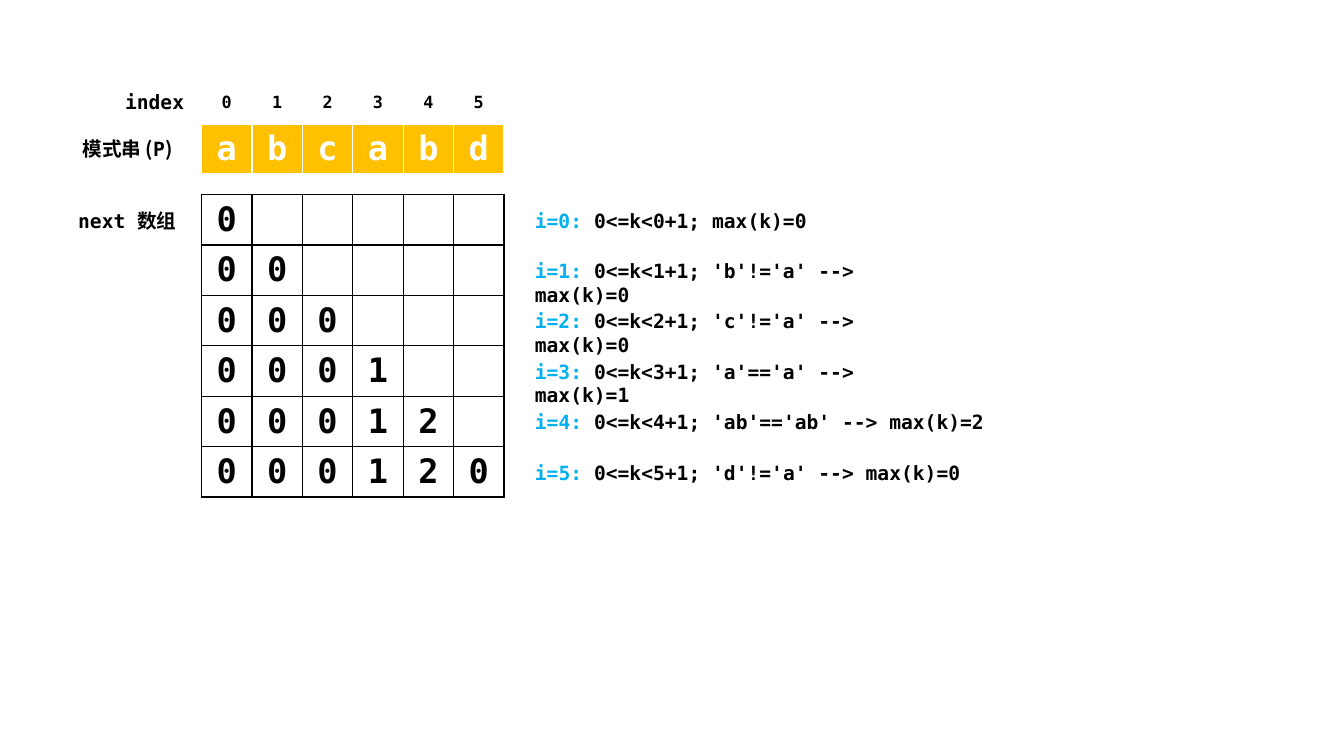
from lxml.etree import SubElement
from pptx import Presentation
from pptx.dml.color import RGBColor
from pptx.enum.text import MSO_ANCHOR, MSO_AUTO_SIZE, PP_ALIGN
from pptx.oxml.ns import qn
from pptx.util import Pt

BLACK = RGBColor(0x00, 0x00, 0x00)
WHITE = RGBColor(0xFF, 0xFF, 0xFF)
GOLD = RGBColor(0xFF, 0xC0, 0x00)
BLUE = RGBColor(0x00, 0xB0, 0xF0)
MONO = "DejaVu Sans Mono"
CHINESE = "Noto Sans CJK SC"

CELL = 36
GRID_LEFT = 144
INDEX_LABEL_WIDTH = 67
INDEX_TOP, INDEX_HEIGHT = 59, 28.8
PATTERN_TOP = 88.6
NEXT_TOP = 139
TEXT_OFFSET = 6.4
LABEL_LEFT, LABEL_WIDTH = 47.5, 87
STEP_LEFT = 375

PATTERN = "abcabd"
NEXT_VALUES = "000120"
STEPS = [  # comparison made in each step, width of its text box
    ("", 244),
    (" 'b'!='a' -->", 299),
    (" 'c'!='a' -->", 299),
    (" 'a'=='a' -->", 299),
    (" 'ab'=='ab' -->", 434),
    (" 'd'!='a' -->", 434),
]


def add_run(paragraph, text, size=14, color=BLACK, font=MONO):
    run = paragraph.add_run()
    run.text = text
    run.font.color.rgb = color
    for name, value in {"size": Pt(size), "bold": True, "name": font}.items():
        setattr(run.font, name, value)
    SubElement(run.font._element, qn("a:ea"), typeface=CHINESE)


def add_text(slide, left, top, width, runs, alignment=PP_ALIGN.LEFT):
    """Add a one-paragraph text box; runs holds (text, format) pairs."""
    box = slide.shapes.add_textbox(Pt(left), Pt(top), Pt(width), Pt(24.2))
    frame = box.text_frame
    frame.word_wrap = True
    frame.auto_size = MSO_AUTO_SIZE.SHAPE_TO_FIT_TEXT
    paragraph = frame.paragraphs[0]
    paragraph.alignment = alignment
    for text, run_format in runs:
        add_run(paragraph, text, **run_format)


def set_borders(cell, color, bottom_width):
    properties = cell._tc.get_or_add_tcPr()
    widths = {"a:lnL": 1, "a:lnR": 1, "a:lnT": 1, "a:lnB": bottom_width}
    for tag, width in widths.items():
        line = SubElement(properties, qn(tag), w=str(Pt(width)))
        fill = SubElement(line, qn("a:solidFill"))
        SubElement(fill, qn("a:srgbClr"), val=str(color))


def add_row(slide, left, top, height, widths, texts, sizes,
            color=BLACK, fill=None, border=BLACK, bottom_width=1):
    """Add a one-row table; cells past the end of texts stay empty."""
    table = slide.shapes.add_table(1, len(widths), Pt(left), Pt(top),
                                   Pt(sum(widths)), Pt(height)).table
    for name in ("first_row", "horz_banding"):
        setattr(table, name, False)
    for column, width in zip(table.columns, widths):
        column.width = Pt(width)
    for cell in table.iter_cells():
        cell.vertical_anchor = MSO_ANCHOR.MIDDLE
        set_borders(cell, border, bottom_width)
        if fill is None:
            cell.fill.background()
        else:
            cell.fill.solid()
            cell.fill.fore_color.rgb = fill
    for cell, text, size in zip(table.iter_cells(), texts, sizes):
        paragraph = cell.text_frame.paragraphs[0]
        paragraph.alignment = PP_ALIGN.CENTER
        add_run(paragraph, text, size, color)


def main():
    presentation = Presentation()
    presentation.slide_width, presentation.slide_height = Pt(960), Pt(540)
    slide = presentation.slides.add_slide(presentation.slide_layouts[6])
    count = len(PATTERN)
    grid_widths = [CELL] * count
    grid_sizes = [24] * count

    # Index row and pattern row
    add_row(slide, GRID_LEFT - INDEX_LABEL_WIDTH, INDEX_TOP, INDEX_HEIGHT,
            [INDEX_LABEL_WIDTH] + grid_widths,
            ["index"] + [str(index) for index in range(count)],
            [14] + [12] * count, border=WHITE, bottom_width=3)
    add_row(slide, GRID_LEFT, PATTERN_TOP, CELL, grid_widths, PATTERN,
            grid_sizes, color=WHITE, fill=GOLD, border=WHITE, bottom_width=3)

    # Labels on the left
    add_text(slide, LABEL_LEFT, PATTERN_TOP + TEXT_OFFSET - 0.7, LABEL_WIDTH,
             [("模式串 (", {"font": CHINESE}), ("P", {}),
              (")", {"font": CHINESE})], PP_ALIGN.CENTER)
    add_text(slide, LABEL_LEFT, NEXT_TOP + TEXT_OFFSET, LABEL_WIDTH,
             [("next 数组", {})], PP_ALIGN.CENTER)

    # One row of the next array and one explanation per step
    for step, (comparison, width) in enumerate(STEPS):
        top = NEXT_TOP + step * CELL
        add_row(slide, GRID_LEFT, top, CELL, grid_widths,
                NEXT_VALUES[:step + 1], grid_sizes)
        result = f"0<=k<{step}+1;{comparison} max(k)={NEXT_VALUES[step]}"
        add_text(slide, STEP_LEFT, top + TEXT_OFFSET, width,
                 [(f"i={step}: ", {"color": BLUE}), (result, {})])

    presentation.save("out.pptx")


main()
